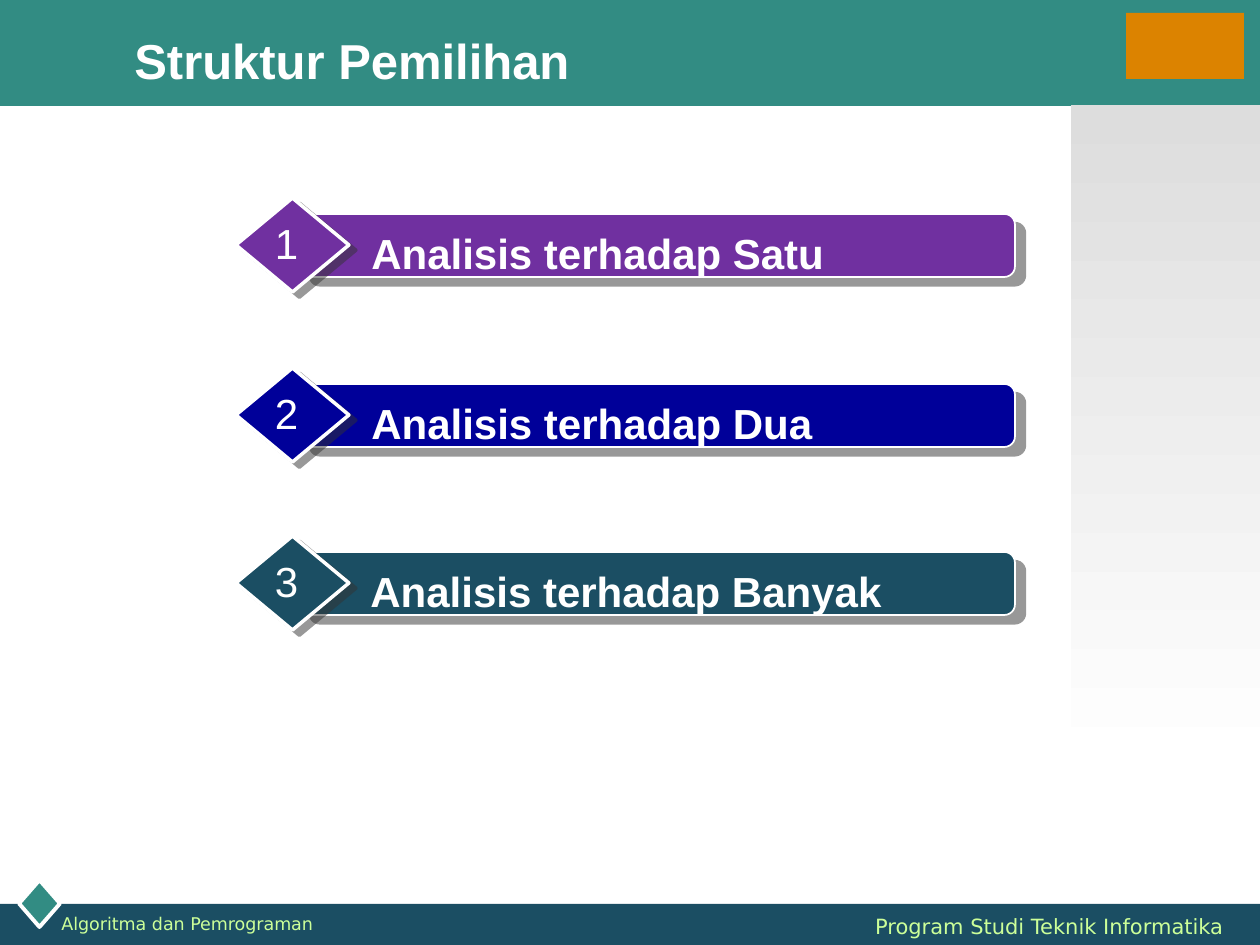
from dataclasses import dataclass

from lxml.etree import SubElement
from pptx import Presentation
from pptx.dml.color import RGBColor
from pptx.enum.shapes import MSO_SHAPE
from pptx.enum.text import MSO_ANCHOR, MSO_AUTO_SIZE, PP_ALIGN
from pptx.oxml.ns import qn
from pptx.shapes.autoshape import Shape
from pptx.util import Emu, Pt

EMU_PER_INCH = 914400
PX_PER_INCH = 126
WHITE, TEAL, NAVY, LIME = "FFFFFF", "328C83", "1B4E63", "CCFF99"


@dataclass(frozen=True)
class Box:
    left: int
    top: int
    width: int
    height: int


@dataclass(frozen=True)
class Topic:
    number: str
    title: str
    top: int
    color: str
    title_left: int = 359
    title_width: int = 566


TOPICS = [
    Topic("1", "Analisis terhadap Satu", 214, "7030A0"),
    Topic("2", "Analisis terhadap Dua", 384, "000099"),
    Topic("3", "Analisis terhadap Banyak", 552, NAVY, 358, 650),
]


def px(length: int) -> Emu:
    return Emu(round(length * EMU_PER_INCH / PX_PER_INCH))


def rgb(color: str) -> RGBColor:
    return RGBColor.from_string(color)


def place(box: Box) -> tuple[Emu, Emu, Emu, Emu]:
    return px(box.left), px(box.top), px(box.width), px(box.height)


def add_block(shapes, kind: MSO_SHAPE, box: Box, color: str, outline: float = 0) -> Shape:
    block = shapes.add_shape(kind, *place(box))
    block.shadow.inherit = False
    block.fill.solid()
    block.fill.fore_color.rgb = rgb(color)
    if outline:
        block.line.color.rgb = rgb(WHITE)
        block.line.width = Pt(outline)
    else:
        block.line.fill.background()
    return block


def cast_shadow(block: Shape, distance: float, degrees: int) -> None:
    effects = block._element.spPr.find(qn("a:effectLst"))
    shadow = SubElement(effects, qn("a:outerShdw"), blurRad="0", dist=str(int(Pt(distance))),
                        dir=str(degrees * 60000), algn="ctr", rotWithShape="0")
    tint = SubElement(shadow, qn("a:srgbClr"), val="333333")
    SubElement(tint, qn("a:alpha"), val="50000")


def add_text(shapes, text: str, box: Box, size: int, color: str = WHITE, bold: bool = False,
             font: str = "Arial", align: PP_ALIGN = PP_ALIGN.LEFT,
             anchor: MSO_ANCHOR = MSO_ANCHOR.TOP, wrap: bool = True, grow: bool = False) -> None:
    frame = shapes.add_textbox(*place(box)).text_frame
    frame.text = text
    frame.word_wrap = wrap
    frame.vertical_anchor = anchor
    frame.auto_size = MSO_AUTO_SIZE.SHAPE_TO_FIT_TEXT if grow else MSO_AUTO_SIZE.NONE
    paragraph = frame.paragraphs[0]
    paragraph.alignment = align
    style = paragraph.runs[0].font
    style.name, style.size, style.bold = font, Pt(size), bold
    style.color.rgb = rgb(color)


def add_frame(shapes) -> None:
    add_block(shapes, MSO_SHAPE.RECTANGLE, Box(0, 0, 1260, 106), TEAL)
    add_block(shapes, MSO_SHAPE.RECTANGLE, Box(0, 904, 1260, 41), NAVY)
    add_block(shapes, MSO_SHAPE.DIAMOND, Box(19, 880, 41, 47), TEAL, 2.25)
    add_block(shapes, MSO_SHAPE.RECTANGLE, Box(1126, 13, 118, 66), "DC8300")
    side_panel = add_block(shapes, MSO_SHAPE.RECTANGLE, Box(1071, 105, 189, 661), WHITE)
    side_panel.fill.gradient()
    side_panel.fill.gradient_angle = 270
    for stop, color, position in zip(side_panel.fill.gradient_stops, ("DDDDDD", WHITE), (0, 1)):
        stop.color.rgb = rgb(color)
        stop.position = position
    add_text(shapes, "Algoritma dan Pemrograman", Box(49, 907, 347, 42), 10, LIME,
             font="DejaVu Sans")
    add_text(shapes, "Program Studi Teknik Informatika", Box(737, 907, 499, 42), 12, LIME,
             font="DejaVu Sans", align=PP_ALIGN.RIGHT)
    add_text(shapes, "Struktur Pemilihan", Box(122, 21, 1002, 78), 28, bold=True,
             anchor=MSO_ANCHOR.MIDDLE)


def add_topic(shapes, topic: Topic) -> None:
    row = shapes.add_group_shape().shapes
    bar = add_block(row, MSO_SHAPE.ROUNDED_RECTANGLE, Box(299, topic.top, 716, 63), topic.color, 1)
    cast_shadow(bar, 7.8, 40)
    badge = add_block(row, MSO_SHAPE.DIAMOND, Box(236, topic.top - 16, 113, 94), topic.color, 2)
    cast_shadow(badge, 5, 37)
    add_text(row, topic.title, Box(topic.title_left, topic.top + 7, topic.title_width, 64), 24,
             bold=True, grow=True)
    add_text(row, topic.number, Box(262, topic.top - 3, 49, 64), 24, align=PP_ALIGN.CENTER,
             wrap=False, grow=True)


def main() -> None:
    """Build the slide listing the three kinds of selection structure."""
    deck = Presentation()
    deck.slide_width, deck.slide_height = px(1260), px(945)
    shapes = deck.slides.add_slide(deck.slide_layouts[6]).shapes
    add_frame(shapes)
    for topic in TOPICS:
        add_topic(shapes, topic)
    deck.save("out.pptx")


if __name__ == "__main__":
    main()
